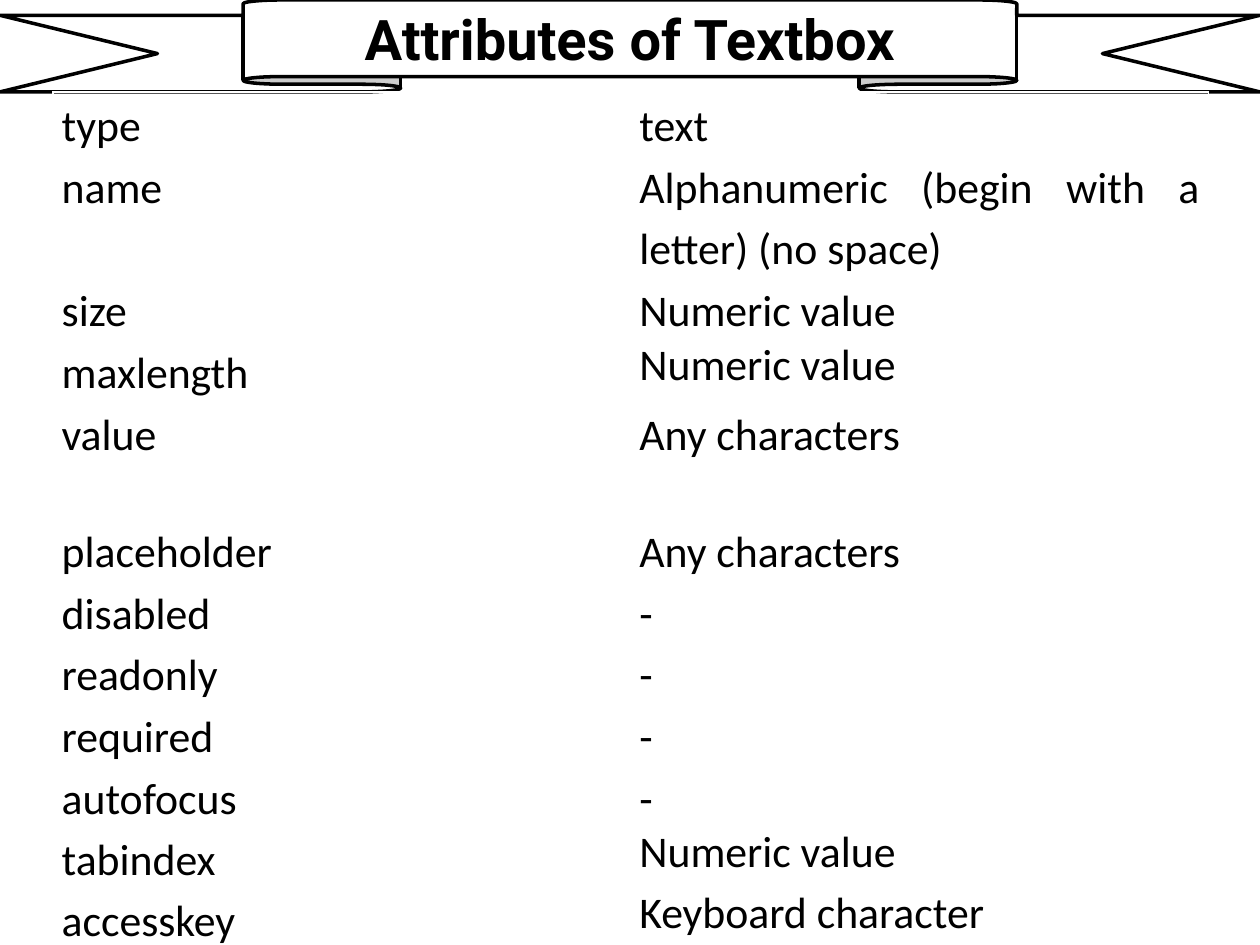
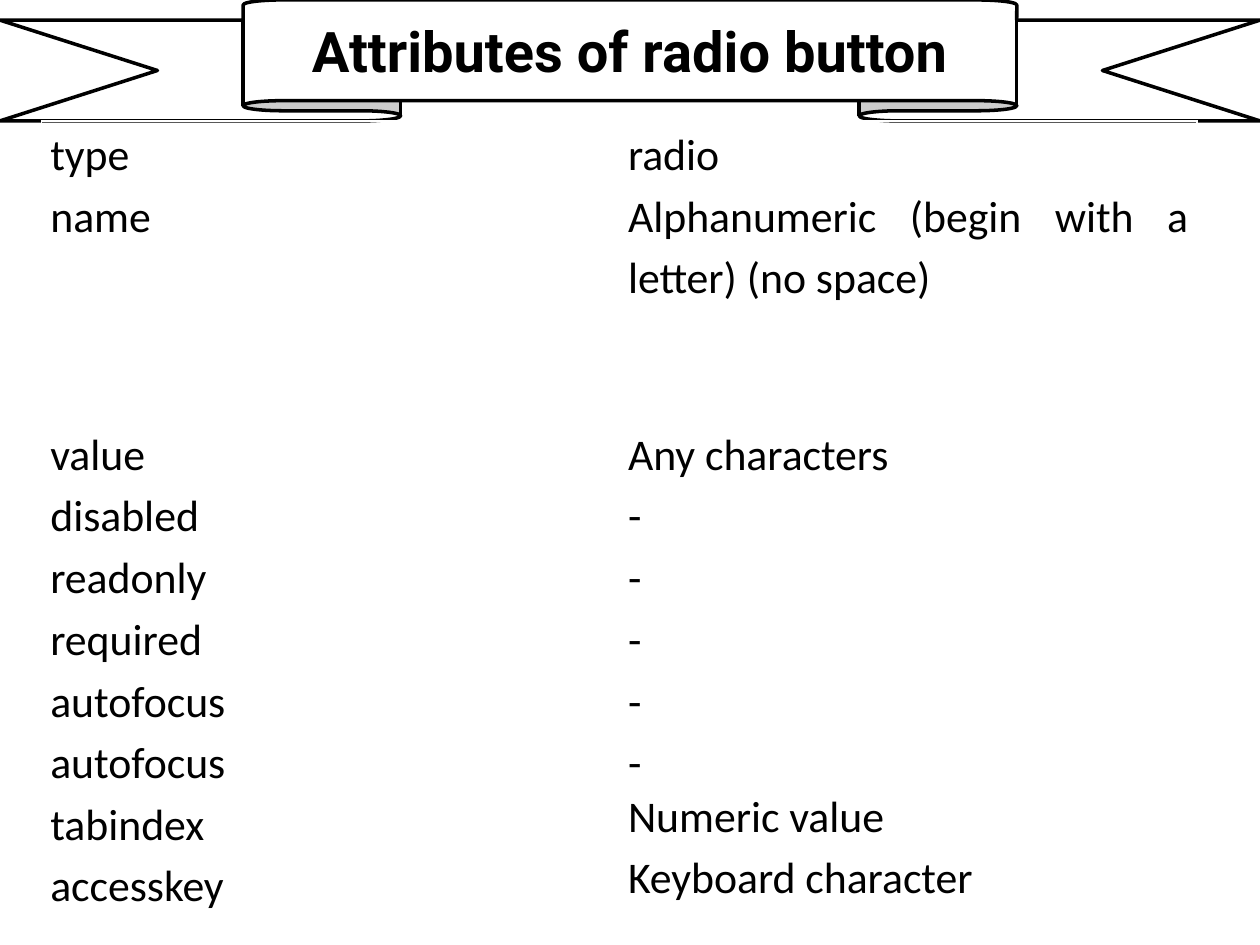
import pptx
import pptx.util
import pptx.dml.color
import pptx.enum.shapes
import pptx.enum.text

Inches, Pt = pptx.util.Inches, pptx.util.Pt
ALIGN = pptx.enum.text.PP_ALIGN
MIDDLE = pptx.enum.text.MSO_ANCHOR.MIDDLE
RIBBON = pptx.enum.shapes.MSO_SHAPE.UP_RIBBON

# Shared look
BLACK = pptx.dml.color.RGBColor(0, 0, 0)
WHITE = pptx.dml.color.RGBColor(255, 255, 255)
HEAD = {"name": "Roboto", "size": Pt(32), "bold": True}
BODY = {"name": "Calibri", "size": Pt(25), "bold": False}
FOLD, FACE = 0.167, 0.614      # ribbon fold height and face width, as shares
WIDE, HIGH = 10, 7.5
LINE = 0.49                    # height of one spaced line of body text
LOOSE = 1.15
TIGHT = {"maxlength", "tabindex"}   # values of these are single spaced

# Rows: label lines, value lines, height
NAME = "Alphanumeric (begin with a letter) (no space)"
FLAGS = [(flag, "-", LINE) for flag in ("disabled", "readonly", "required")]
LAST = ("autofocus\ntabindex\naccesskey",
        "-\nNumeric value\nKeyboard character", 3 * LINE)
TEXTBOX = [
    ("type", "text", LINE),
    ("name", NAME, 2 * LINE),
    ("size", "Numeric value", LINE),
    ("maxlength", "Numeric value", LINE),
    ("value", "Any characters", 0.93),
    ("placeholder", "Any characters", LINE),
    *FLAGS, LAST]
RADIO = [
    ("type", "radio", LINE),
    ("name", NAME, 1.05),
    ("", "", 0.42),
    ("", "", 0.42),
    ("value", "Any characters", LINE),
    *FLAGS, ("autofocus", "-", LINE), LAST]


def style(item, form):
    for key, value in form.items():
        setattr(item, key, value)


def paint(font, form):
    style(font, form)
    font.color.rgb = BLACK


def banner(slide, text, high):
    """Ribbon across the top, with the title on its face."""
    band = slide.shapes.add_shape(RIBBON, 0, 0, Inches(WIDE), Inches(high))
    band.shadow.inherit = False
    band.adjustments[0], band.adjustments[1] = FOLD, FACE
    band.fill.solid()
    band.fill.fore_color.rgb = WHITE
    band.line.color.rgb = BLACK
    band.line.width = Pt(2)

    title = slide.shapes.title
    style(title, {"left": Inches(WIDE * (1 - FACE) / 2), "top": 0,
                  "width": Inches(WIDE * FACE),
                  "height": Inches(high * (1 - FOLD))})
    frame = title.text_frame
    frame.text = text
    style(frame, {"margin_top": 0, "margin_bottom": 0, "word_wrap": True,
                  "vertical_anchor": MIDDLE,
                  "auto_size": pptx.enum.text.MSO_AUTO_SIZE.NONE})
    para = frame.paragraphs[0]
    style(para, {"alignment": ALIGN.CENTER, "line_spacing": 1.0})
    paint(para.runs[0].font, HEAD)
    # The title stands in front of the ribbon
    slide.shapes._spTree.append(title._element)


def fill_cell(cell, text, gaps):
    """Write one paragraph per line, each with its own line spacing."""
    cell.fill.background()
    style(cell, {"margin_left": Inches(0.07), "margin_right": Inches(0.07),
                 "margin_top": 0, "margin_bottom": 0})
    cell.text_frame.text = text
    for para, gap in zip(cell.text_frame.paragraphs, gaps):
        style(para, {"alignment": ALIGN.JUSTIFY, "line_spacing": gap})
        for run in para.runs:
            paint(run.font, BODY)


def grid(slide, rows, left, top, wide):
    """Plain table of two equal columns."""
    high = sum(row[2] for row in rows)
    table = slide.shapes.add_table(len(rows), 2, Inches(left), Inches(top),
                                   Inches(wide), Inches(high)).table
    style(table, {"first_row": False, "horz_banding": False})
    for at, (label, value, tall) in enumerate(rows):
        table.rows[at].height = Inches(tall)
        names = label.split("\n")
        fill_cell(table.cell(at, 0), label, [LOOSE] * len(names))
        fill_cell(table.cell(at, 1), value,
                  [1.0 if name in TIGHT else LOOSE for name in names])


def page(deck, text, high, left, rows):
    slide = deck.slides.add_slide(deck.slide_layouts[5])
    banner(slide, text, high)
    grid(slide, rows, left, high, 9.17)


deck = pptx.Presentation()
style(deck, {"slide_width": Inches(WIDE), "slide_height": Inches(HIGH)})
page(deck, "Attributes of Textbox", 0.73, 0.42, TEXTBOX)
page(deck, "Attributes of radio button", 0.96, 0.33, RADIO)
deck.save("out.pptx")
